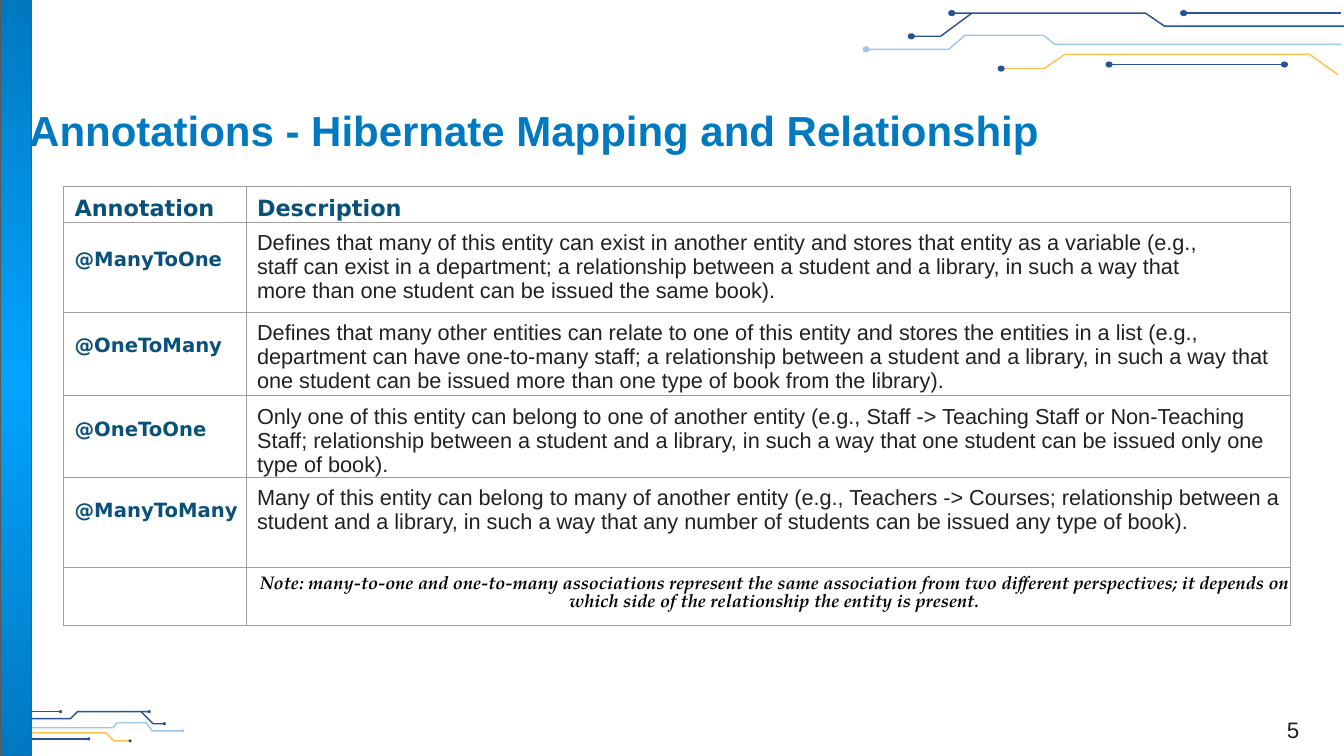
"""Build the slide on Hibernate mapping annotations."""
from lxml.etree import SubElement
from pptx import Presentation
from pptx.dml.color import RGBColor
from pptx.enum.shapes import MSO_CONNECTOR, MSO_SHAPE
from pptx.enum.text import MSO_ANCHOR, PP_ALIGN
from pptx.oxml.ns import qn
from pptx.util import Inches, Pt

HUES = {
    "navy": "285293", "sky": "9FC5E8", "gold": "FEC14F", "blue": "0079C0",
    "glow": "03A3FF", "edge": "595959", "grid": "9E9E9E", "teal": "09507A",
    "ink": "212121", "note": "000100", "page": "222222",
}
FORMS = {
    "title": {"name": "Arial", "size": Pt(30), "bold": True, "hue": "blue"},
    "head": {"name": "DejaVu Sans", "size": Pt(16), "bold": True, "hue": "teal"},
    "label": {"name": "DejaVu Sans", "size": Pt(14), "bold": True, "hue": "teal"},
    "body": {"name": "Arial", "size": Pt(15.5), "bold": False, "hue": "ink"},
    "note": {"name": "TeX Gyre Pagella", "size": Pt(13), "bold": True,
             "italic": True, "hue": "note"},
    "page": {"name": "Arial", "size": Pt(16), "hue": "page"},
}
LEADS = {"body": Pt(17.15), "note": Pt(12.9)}
TITLE = "Annotations - Hibernate Mapping and Relationship"
ROWS = [
    ("Annotation", "Description"),
    ("@ManyToOne", "Defines that many of this entity can exist in another entity and "
     "stores that entity as a variable (e.g., staff can exist in a department; a "
     "relationship between a student and a library, in such a way that more than one "
     "student can be issued the same book)."),
    ("@OneToMany", "Defines that many other entities can relate to one of this entity "
     "and stores the entities in a list (e.g., department can have one-to-many staff; a "
     "relationship between a student and a library, in such a way that one student can "
     "be issued more than one type of book from the library)."),
    ("@OneToOne", "Only one of this entity can belong to one of another entity (e.g., "
     "Staff -> Teaching Staff or Non-Teaching Staff; relationship between a student and "
     "a library, in such a way that one student can be issued only one type of book)."),
    ("@ManyToMany", "Many of this entity can belong to many of another entity (e.g., "
     "Teachers -> Courses; relationship between a student and a library, in such a way "
     "that any number of students can be issued any type of book)."),
    ("", "Note: many-to-one and one-to-many associations represent the same association "
     "from two different perspectives; it depends on which side of the relationship the "
     "entity is present."),
]
COLS = [1.81, 10.36]
HIGHS = [0.35, 0.89, 0.83, 0.81, 0.89, 0.58]
DROPS = [0.09, 0.26, 0.22, 0.22, 0.22, 0.09]

FOOT = [
    ("navy", [(0.04, 7.13), (0.7, 7.13), (0.77, 7.06), (1.48, 7.06)], [-1]),
    ("navy", [(1.4, 7.06), (1.52, 7.18), (1.63, 7.18)], [-1]),
    ("navy", [(0, 7.06), (0.6, 7.06)], [-1]),
    ("gold", [(0.01, 7.38), (0.12, 7.27), (1.05, 7.27), (1.13, 7.35), (1.29, 7.35)], [-1]),
    ("navy", [(0.21, 7.33), (0.88, 7.33)], [0, -1]),
    ("sky", [(0.08, 7.22), (1.12, 7.22), (1.16, 7.17), (1.45, 7.17), (1.51, 7.25),
             (1.81, 7.25)], [-1]),
]
HEAD = [
    ("navy", [(13.33, 0.26), (11.55, 0.26), (11.36, 0.13), (9.44, 0.13)], [-1]),
    ("navy", [(9.64, 0.13), (9.33, 0.36), (9.04, 0.36)], [-1]),
    ("navy", [(13.3, 0.13), (11.74, 0.13)], [-1]),
    ("gold", [(13.27, 0.74), (12.99, 0.54), (10.56, 0.54), (10.36, 0.68), (9.93, 0.68)], [-1]),
    ("navy", [(12.74, 0.64), (11, 0.64)], [0, -1]),
    ("sky", [(13.3, 0.44), (10.46, 0.44), (10.35, 0.35), (9.57, 0.35), (9.41, 0.49),
             (8.59, 0.49)], [-1]),
]
TRACKS = [(FOOT, 0.02, 0.02), (HEAD, 0.06, 0.05)]


def tint(hue):
    return RGBColor.from_string(HUES[hue])


def ink(line, hue, width):
    line.color.rgb = tint(hue)
    line.width = Pt(width)


def write(frame, text, form, align=PP_ALIGN.LEFT, **box):
    for key, val in box.items():
        setattr(frame, key, val)
    para = frame.paragraphs[0]
    para.alignment = align
    if form in LEADS:
        para.line_spacing = LEADS[form]
    run = para.add_run()
    run.text = text
    for key, val in FORMS[form].items():
        if key == "hue":
            run.font.color.rgb = tint(val)
        else:
            setattr(run.font, key, val)


def trace(shapes, hue, spots):
    pts = [(Inches(x), Inches(y)) for x, y in spots]
    if len(pts) == 2:
        wire = shapes.add_connector(MSO_CONNECTOR.STRAIGHT, *pts[0], *pts[1])
        SubElement(wire.element.spPr, qn("a:effectLst"))
    else:
        pen = shapes.build_freeform(*pts[0])
        pen.add_line_segments(pts[1:], close=False)
        wire = pen.convert_to_shape()
        wire.fill.background()
        wire.shadow.inherit = False
    ink(wire.line, hue, 1.03)


def dot(shapes, hue, spot, wide, high):
    x, y = spot
    node = shapes.add_shape(MSO_SHAPE.OVAL, Inches(x - wide / 2), Inches(y - high / 2),
                            Inches(wide), Inches(high))
    node.shadow.inherit = False
    node.fill.solid()
    node.fill.fore_color.rgb = tint(hue)
    ink(node.line, hue, 0.75)


def band(shapes, high):
    bar = shapes.add_shape(MSO_SHAPE.RECTANGLE, 0, 0, Inches(0.31), high)
    bar.shadow.inherit = False
    bar.fill.gradient()
    for stop, hue in zip(bar.fill.gradient_stops, ("glow", "blue")):
        stop.color.rgb = tint(hue)
    grad = bar.element.spPr.find(qn("a:gradFill"))
    grad.remove(grad.find(qn("a:lin")))
    ring = SubElement(grad, qn("a:path"), path="circle")
    SubElement(ring, qn("a:fillToRect"), dict.fromkeys("ltrb", "50000"))
    ink(bar.line, "edge", 0.75)


def frame_cell(cell):
    props = cell._tc.get_or_add_tcPr()
    for side in ("lnL", "lnR", "lnT", "lnB"):
        rule = SubElement(props, qn("a:" + side), w=str(Pt(0.75)))
        fill = SubElement(rule, qn("a:solidFill"))
        SubElement(fill, qn("a:srgbClr"), val=HUES["grid"])
    cell.fill.background()


def grid(shapes):
    table = shapes.add_table(len(ROWS), len(COLS), Inches(0.63), Inches(1.85),
                             Inches(sum(COLS)), Inches(sum(HIGHS))).table
    table.first_row = table.horz_banding = False
    for col, wide in zip(table.columns, COLS):
        col.width = Inches(wide)
    for r, (row, high) in enumerate(zip(table.rows, HIGHS)):
        row.height = Inches(high)
        last = r == len(ROWS) - 1
        forms = ("head", "head") if r == 0 else ("label", "note" if last else "body")
        for c, cell in enumerate(row.cells):
            pads = {"left": 0.11, "top": 0.09 if c else DROPS[r],
                    "right": 0.7 if (r, c) == (1, 1) else 0, "bottom": 0}
            for side, pad in pads.items():
                setattr(cell, "margin_" + side, Inches(pad))
            frame_cell(cell)
            if ROWS[r][c]:
                write(cell.text_frame, ROWS[r][c], forms[c],
                      PP_ALIGN.CENTER if last else PP_ALIGN.LEFT)


def main():
    deck = Presentation()
    deck.slide_width, deck.slide_height = Inches(13.33), Inches(7.5)
    shapes = deck.slides.add_slide(deck.slide_layouts[6]).shapes
    for tracks, wide, high in TRACKS:
        for hue, spots, ends in tracks:
            trace(shapes, hue, spots)
            for end in ends:
                dot(shapes, "sky" if hue == "sky" else "navy", spots[end], wide, high)
    band(shapes, deck.slide_height)
    title = shapes.add_textbox(Inches(0.29), Inches(0.98), Inches(11.84), Inches(0.77))
    write(title.text_frame, TITLE, "title", word_wrap=True, margin_left=0,
          margin_right=0, margin_top=Inches(0.06), margin_bottom=0)
    grid(shapes)
    page = shapes.add_textbox(Inches(12.4), Inches(6.83), Inches(0.85), Inches(0.59))
    write(page.text_frame, "5", "page", PP_ALIGN.CENTER, word_wrap=True,
          vertical_anchor=MSO_ANCHOR.BOTTOM)
    deck.save("out.pptx")


if __name__ == "__main__":
    main()
